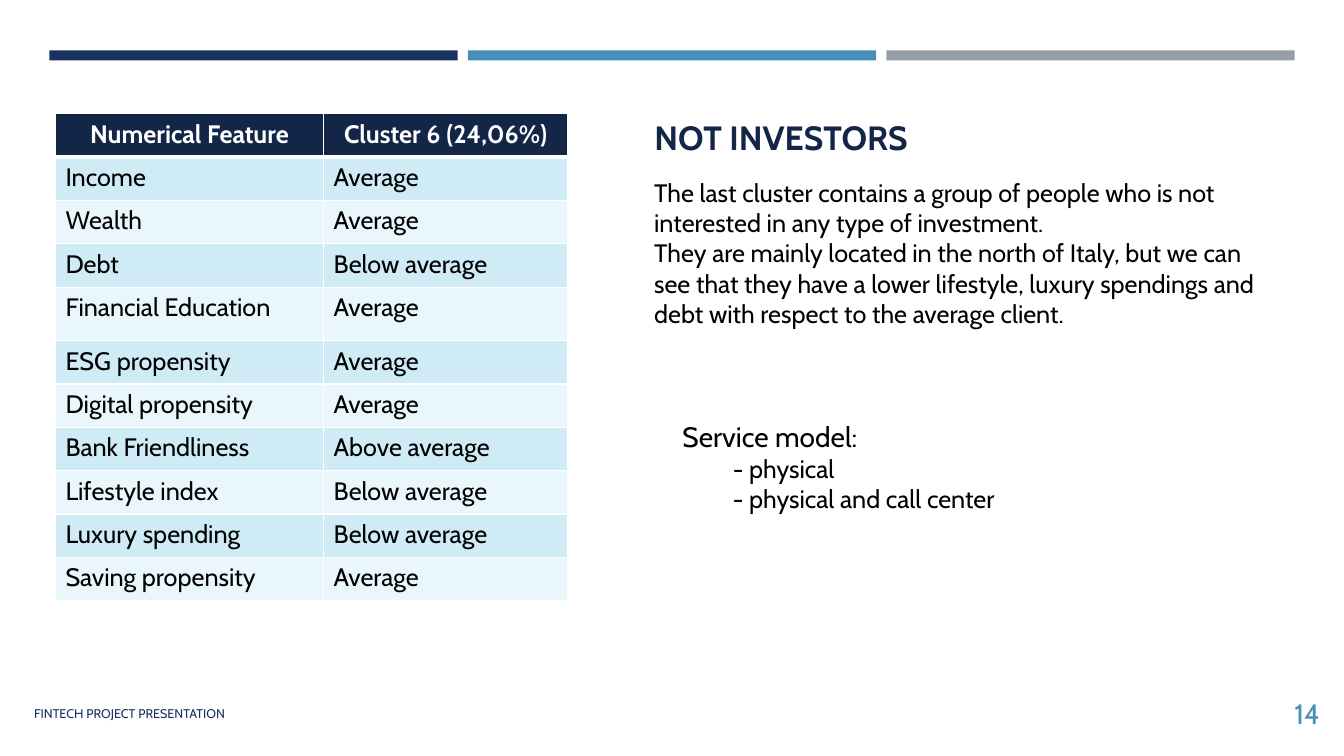
from dataclasses import dataclass

from lxml import etree
from pptx import Presentation
from pptx import util as u
from pptx.dml.color import RGBColor
from pptx.enum import shapes, text
from pptx.oxml.ns import qn

FONT = "Cabin"
NAVY = RGBColor(0x14, 0x26, 0x48)
INDIGO = RGBColor(0x1A, 0x32, 0x60)
BLUE = RGBColor(0x45, 0x90, 0xB8)
GREY = RGBColor(0x96, 0x9F, 0xA7)
BAND_DARK = RGBColor(0xCF, 0xEC, 0xF6)
BAND_LIGHT = RGBColor(0xE9, 0xF6, 0xFB)
WHITE = RGBColor(0xFF, 0xFF, 0xFF)
BLACK = RGBColor(0, 0, 0)

LEFT, RIGHT, CENTER = text.PP_ALIGN.LEFT, text.PP_ALIGN.RIGHT, text.PP_ALIGN.CENTER
TOP, MIDDLE = text.MSO_ANCHOR.TOP, text.MSO_ANCHOR.MIDDLE


@dataclass(frozen=True)
class Line:
    text: str
    size: float
    color: RGBColor = BLACK
    bold: bool = False
    align: text.PP_ALIGN = LEFT
    level: int = 0


@dataclass(frozen=True)
class TextBlock:
    left: float
    top: float
    width: float
    height: float
    lines: tuple[Line, ...]
    anchor: text.MSO_ANCHOR = TOP


HEADING = TextBlock(6.39, 1.11, 4.65, 0.5, (Line("NOT INVESTORS", 24, NAVY, True),))

TEXT_BLOCKS = (
    TextBlock(6.39, 1.71, 6.4, 1.6, (
        Line("The last cluster contains a group of people who is not interested "
             "in any type of investment. ", 18),
        Line("They are mainly located in the north of Italy, but we can see that "
             "they have a lower lifestyle, luxury spendings and debt with respect "
             "to the average client.", 18),
    )),
    TextBlock(6.67, 4.11, 4.75, 1.04, (
        Line("Service model:", 20),
        Line("- physical", 18, level=1),
        Line("- physical and call center", 18, level=1),
    )),
    TextBlock(0.24, 6.91, 5.67, 0.33,
              (Line("FINTECH PROJECT PRESENTATION", 9, INDIGO),), MIDDLE),
    TextBlock(11.82, 6.76, 1.37, 0.63, (Line("14", 20, BLUE, align=RIGHT),), MIDDLE),
)

FEATURES = (
    ("Numerical Feature", "Cluster 6 (24,06%)"),
    ("Income", "Average"),
    ("Wealth", "Average"),
    ("Debt", "Below average"),
    ("Financial Education", "Average"),
    ("ESG propensity", "Average"),
    ("Digital propensity", "Average"),
    ("Bank Friendliness", "Above average"),
    ("Lifestyle index", "Below average"),
    ("Luxury spending", "Below average"),
    ("Saving propensity", "Average"),
)
COLUMN_WIDTHS = (2.66, 2.42)
ROW_HEIGHT, TALL_ROW_HEIGHT = 0.43, 0.53
TALL_ROW = 4


def write_lines(tf, lines: tuple[Line, ...]) -> None:
    for i, line in enumerate(lines):
        p = tf.paragraphs[0] if i == 0 else tf.add_paragraph()
        p.alignment = line.align
        if line.level:
            p.level = line.level
            p._p.get_or_add_pPr().set("marL", str(u.Inches(0.5 * line.level)))
        r = p.add_run()
        r.text = line.text
        r.font.name = FONT
        r.font.size = u.Pt(line.size)
        r.font.bold = line.bold
        r.font.color.rgb = line.color


def fill_block(sp, block: TextBlock) -> None:
    """Place a text shape and write its lines."""
    sp.left, sp.top = u.Inches(block.left), u.Inches(block.top)
    sp.width, sp.height = u.Inches(block.width), u.Inches(block.height)
    tf = sp.text_frame
    tf.word_wrap = True
    tf.auto_size = text.MSO_AUTO_SIZE.NONE
    tf.vertical_anchor = block.anchor
    write_lines(tf, block.lines)


def add_bars(s) -> None:
    """Draw the three coloured bars along the top."""
    for i, color in enumerate((INDIGO, BLUE, GREY)):
        sp = s.shapes.add_shape(shapes.MSO_SHAPE.RECTANGLE, u.Inches(0.49 + 4.15 * i),
                                u.Inches(0.5), u.Inches(4.05), u.Inches(0.1))
        sp.shadow.inherit = False
        sp.fill.solid()
        sp.fill.fore_color.rgb = color
        sp.line.fill.background()


def set_borders(cell, bottom: float) -> None:
    """Give a cell white 1 pt borders, with its own bottom width in points."""
    tc_pr = cell._tc.get_or_add_tcPr()
    for side, width in (("L", 1), ("R", 1), ("T", 1), ("B", bottom)):
        ln = etree.SubElement(tc_pr, qn(f"a:ln{side}"), w=str(u.Pt(width)))
        fill = etree.SubElement(ln, qn("a:solidFill"))
        etree.SubElement(fill, qn("a:srgbClr"), val=str(WHITE))


def add_feature_table(s) -> None:
    heights = [TALL_ROW_HEIGHT if i == TALL_ROW else ROW_HEIGHT
               for i in range(len(FEATURES))]
    table = s.shapes.add_table(
        len(FEATURES), len(COLUMN_WIDTHS), u.Inches(0.55), u.Inches(1.13),
        u.Inches(sum(COLUMN_WIDTHS)), u.Inches(sum(heights))).table
    for column, width in zip(table.columns, COLUMN_WIDTHS):
        column.width = u.Inches(width)
    for i, (values, height) in enumerate(zip(FEATURES, heights)):
        table.rows[i].height = u.Inches(height)
        header = i == 0
        band = NAVY if header else BAND_DARK if i % 2 else BAND_LIGHT
        for j, value in enumerate(values):
            cell = table.cell(i, j)
            set_borders(cell, bottom=3 if header else 1)
            cell.fill.solid()
            cell.fill.fore_color.rgb = band
            line = (Line(value, 18, WHITE, True, CENTER) if header
                    else Line(value, 18))
            write_lines(cell.text_frame, (line,))
            if i == 1:
                cell._tc.tcPr.find(qn("a:lnT")).set("w", str(u.Pt(3)))


def main() -> None:
    prs = Presentation()
    prs.slide_width, prs.slide_height = u.Inches(13.33), u.Inches(7.5)
    s = prs.slides.add_slide(prs.slide_layouts[5])
    add_bars(s)
    add_feature_table(s)
    fill_block(s.shapes.title, HEADING)
    for block in TEXT_BLOCKS:
        sp = s.shapes.add_textbox(0, 0, 0, 0)
        fill_block(sp, block)
    prs.save("out.pptx")


if __name__ == "__main__":
    main()
